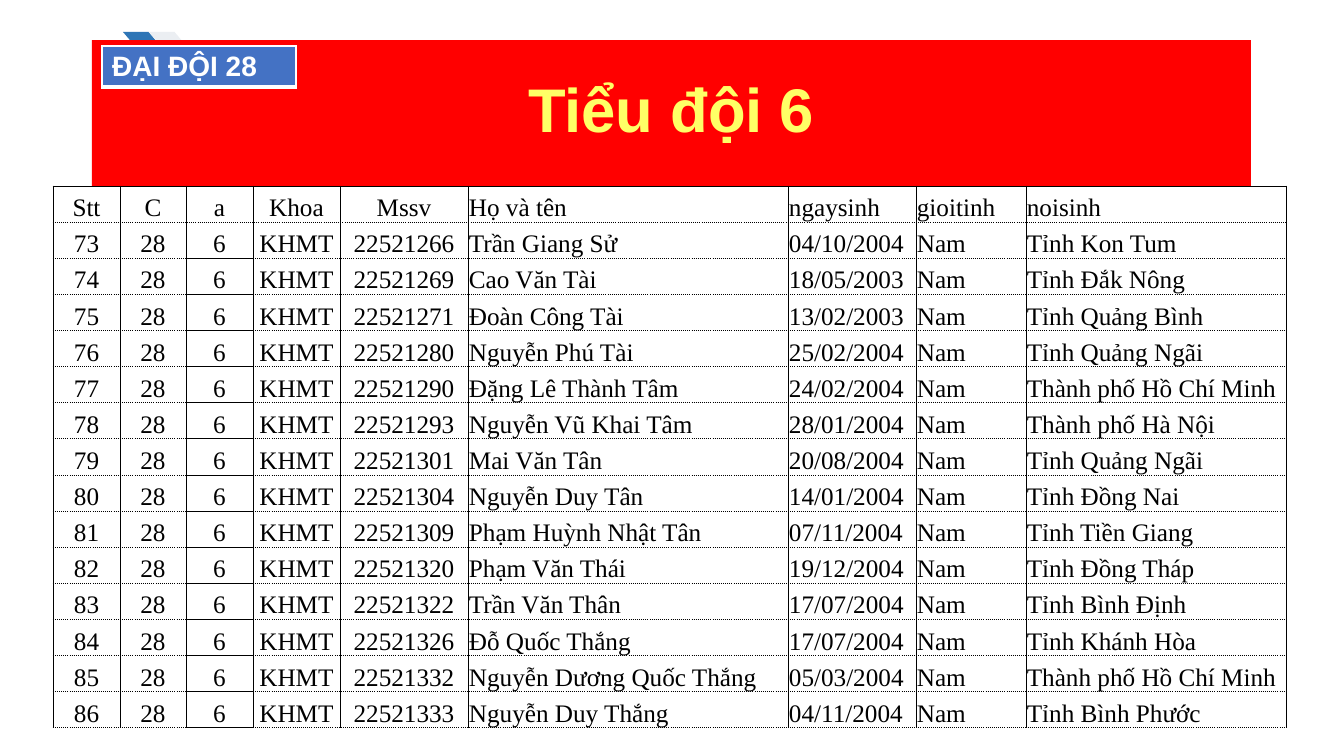
from lxml.etree import SubElement
from pptx import Presentation
from pptx.dml.color import RGBColor
from pptx.enum.shapes import MSO_SHAPE
from pptx.enum.text import MSO_ANCHOR, PP_ALIGN
from pptx.oxml.ns import qn
from pptx.util import Pt

EMU_PER_PX = 914400 / 100.8
BLACK = RGBColor(0x00, 0x00, 0x00)
WHITE = RGBColor(0xFF, 0xFF, 0xFF)
RED = RGBColor(0xFF, 0x00, 0x00)
YELLOW = RGBColor(0xFF, 0xFF, 0x66)
BLUE = RGBColor(0x2E, 0x75, 0xB6)
PALE = RGBColor(0xEB, 0xEE, 0xF2)
LABEL_BLUE = RGBColor(0x44, 0x72, 0xC4)

HEADERS = ("Stt", "C", "a", "Khoa", "Mssv", "Họ và tên", "ngaysinh", "gioitinh", "noisinh")
COLUMN_WIDTHS = (67, 66, 67, 87, 128, 320, 128, 110, 260)
CENTERED_COLUMNS = 5
SQUAD_COLUMN = 2
FIRST_NUMBER = 73
STUDENTS = (
    ("22521266", "Trần Giang Sử", "04/10/2004", "Tỉnh Kon Tum"),
    ("22521269", "Cao Văn Tài", "18/05/2003", "Tỉnh Đắk Nông"),
    ("22521271", "Đoàn Công Tài", "13/02/2003", "Tỉnh Quảng Bình"),
    ("22521280", "Nguyễn Phú Tài", "25/02/2004", "Tỉnh Quảng Ngãi"),
    ("22521290", "Đặng Lê Thành Tâm", "24/02/2004", "Thành phố Hồ Chí Minh"),
    ("22521293", "Nguyễn Vũ Khai Tâm", "28/01/2004", "Thành phố Hà Nội"),
    ("22521301", "Mai Văn Tân", "20/08/2004", "Tỉnh Quảng Ngãi"),
    ("22521304", "Nguyễn Duy Tân", "14/01/2004", "Tỉnh Đồng Nai"),
    ("22521309", "Phạm Huỳnh Nhật Tân", "07/11/2004", "Tỉnh Tiền Giang"),
    ("22521320", "Phạm Văn Thái", "19/12/2004", "Tỉnh Đồng Tháp"),
    ("22521322", "Trần Văn Thân", "17/07/2004", "Tỉnh Bình Định"),
    ("22521326", "Đỗ Quốc Thắng", "17/07/2004", "Tỉnh Khánh Hòa"),
    ("22521332", "Nguyễn Dương Quốc Thắng", "05/03/2004", "Thành phố Hồ Chí Minh"),
    ("22521333", "Nguyễn Duy Thắng", "04/11/2004", "Tỉnh Bình Phước"),
)


def px(length):
    """Turn pixels into EMU."""
    return round(length * EMU_PER_PX)


def write_text(frame, text, font="Arial", size=18, color=BLACK, bold=False,
               align=PP_ALIGN.LEFT, line_spacing=None):
    """Write one formatted paragraph into a text frame."""
    paragraph = frame.paragraphs[0]
    paragraph.alignment = align
    paragraph.line_spacing = line_spacing
    run = paragraph.add_run()
    run.text = text
    run.font.name = font
    run.font.size = Pt(size)
    run.font.bold = bold
    run.font.color.rgb = color


def add_block(slide, preset, left, top, width, height, color):
    """Add a plain filled preset shape."""
    shape = slide.shapes.add_shape(preset, px(left), px(top), px(width), px(height))
    shape.shadow.inherit = False
    shape.fill.solid()
    shape.fill.fore_color.rgb = color
    shape.line.fill.background()
    return shape


def add_plain_table(slide, row_count, left, top, widths, height):
    """Add a table with equal rows and no header or banding."""
    frame = slide.shapes.add_table(
        row_count, len(widths), px(left), px(top), px(sum(widths)), px(height))
    table = frame.table
    table.first_row = False
    table.horz_banding = False
    for column, width in zip(table.columns, widths):
        column.width = px(width)
    for row in table.rows:
        row.height = px(height) // row_count
    return table


def set_border(cell, side, color, width, dash="solid"):
    """Draw one side of a cell; call in the order L, R, T, B."""
    properties = cell._tc.get_or_add_tcPr()
    line = SubElement(properties, qn(f"a:ln{side}"), w=str(Pt(width)))
    fill = SubElement(line, qn("a:solidFill"))
    SubElement(fill, qn("a:srgbClr"), val=str(color))
    SubElement(line, qn("a:prstDash"), val=dash)


def format_roster_cell(cell, row, column):
    """Set margins, borders and fill of a roster cell."""
    cell.margin_left = cell.margin_right = cell.margin_top = px(1)
    cell.margin_bottom = 0
    cell.vertical_anchor = MSO_ANCHOR.BOTTOM
    squad = column == SQUAD_COLUMN
    solid_top = row == 0 or (squad and row > 1)
    solid_bottom = squad and row > 0
    for side, solid in (("L", True), ("R", True), ("T", solid_top), ("B", solid_bottom)):
        set_border(cell, side, BLACK, 0.5, "solid" if solid else "sysDot")
    cell.fill.background()


def add_roster(slide):
    """Add the table of the squad's students."""
    rows = [HEADERS]
    for number, (code, name, birthday, birthplace) in enumerate(STUDENTS, FIRST_NUMBER):
        rows.append((str(number), "28", "6", "KHMT", code, name, birthday, "Nam", birthplace))
    table = add_plain_table(slide, len(rows), 53, 186, COLUMN_WIDTHS, 542)
    for row, values in enumerate(rows):
        for column, value in enumerate(values):
            cell = table.cell(row, column)
            format_roster_cell(cell, row, column)
            align = PP_ALIGN.CENTER if column < CENTERED_COLUMNS else PP_ALIGN.LEFT
            write_text(cell.text_frame, value, font="Times New Roman", align=align)


def add_company_label(slide):
    """Add the one-cell table that names the company."""
    cell = add_plain_table(slide, 1, 102, 46, (194,), 41).cell(0, 0)
    for side, width in (("L", 1), ("R", 1), ("T", 1), ("B", 3)):
        set_border(cell, side, WHITE, width)
    cell.fill.solid()
    cell.fill.fore_color.rgb = LABEL_BLUE
    write_text(cell.text_frame, "ĐẠI ĐỘI 28", size=20, color=WHITE, bold=True)


def add_title(slide):
    """Add the red title banner."""
    banner = add_block(slide, MSO_SHAPE.RECTANGLE, 92, 40, 1159, 146, RED)
    banner.text_frame.word_wrap = True
    banner.text_frame.vertical_anchor = MSO_ANCHOR.MIDDLE
    write_text(banner.text_frame, "Tiểu đội 6", size=44, color=YELLOW, bold=True,
               align=PP_ALIGN.CENTER, line_spacing=0.9)


def main():
    """Build and save the slide."""
    presentation = Presentation()
    presentation.slide_width = px(1344)
    presentation.slide_height = px(756)
    slide = presentation.slides.add_slide(presentation.slide_layouts[6])
    for left, color in ((123, BLUE), (149, PALE)):
        add_block(slide, MSO_SHAPE.CHEVRON, left, 32, 51, 60, color)
    add_title(slide)
    add_roster(slide)
    add_company_label(slide)
    presentation.save("out.pptx")


if __name__ == "__main__":
    main()
